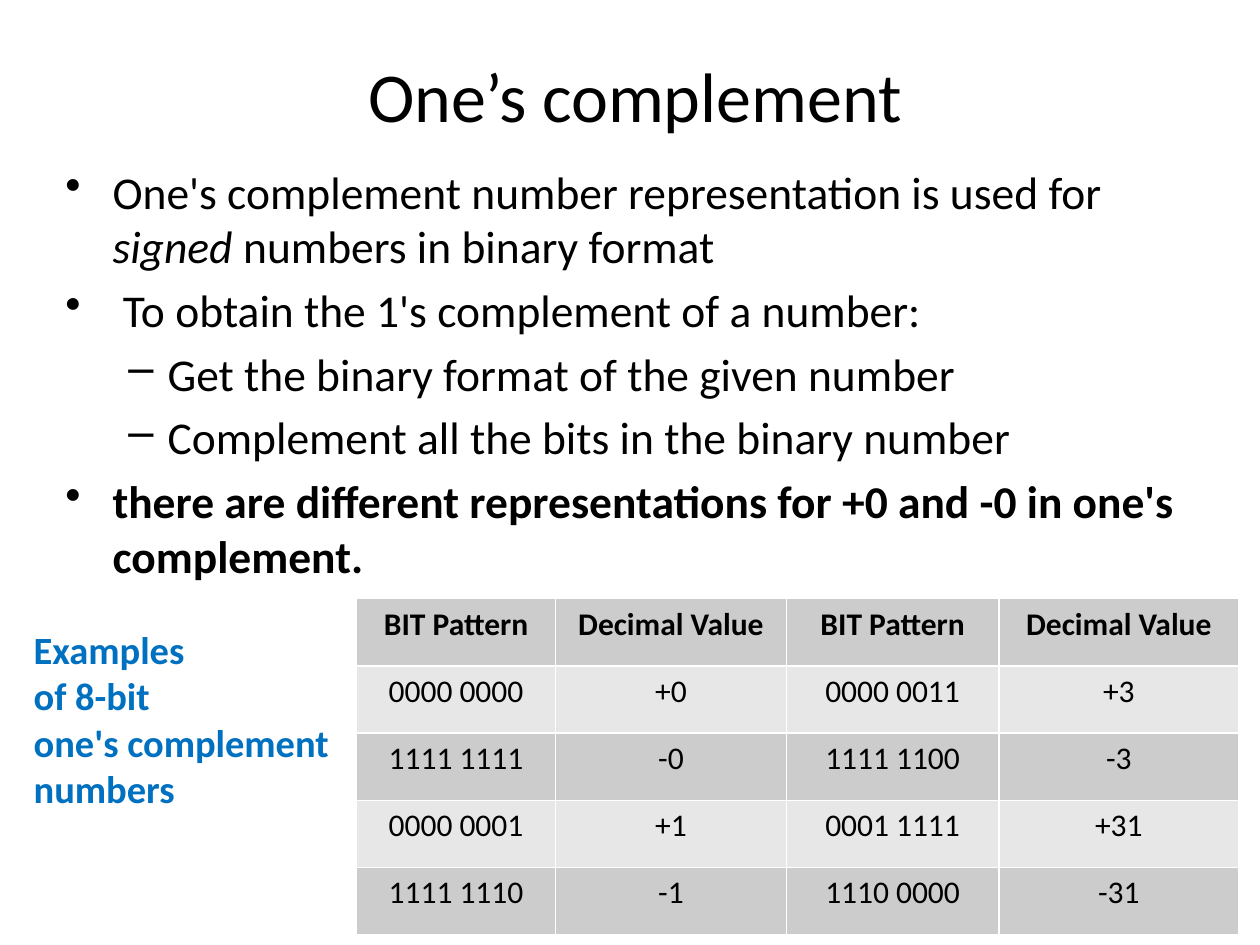
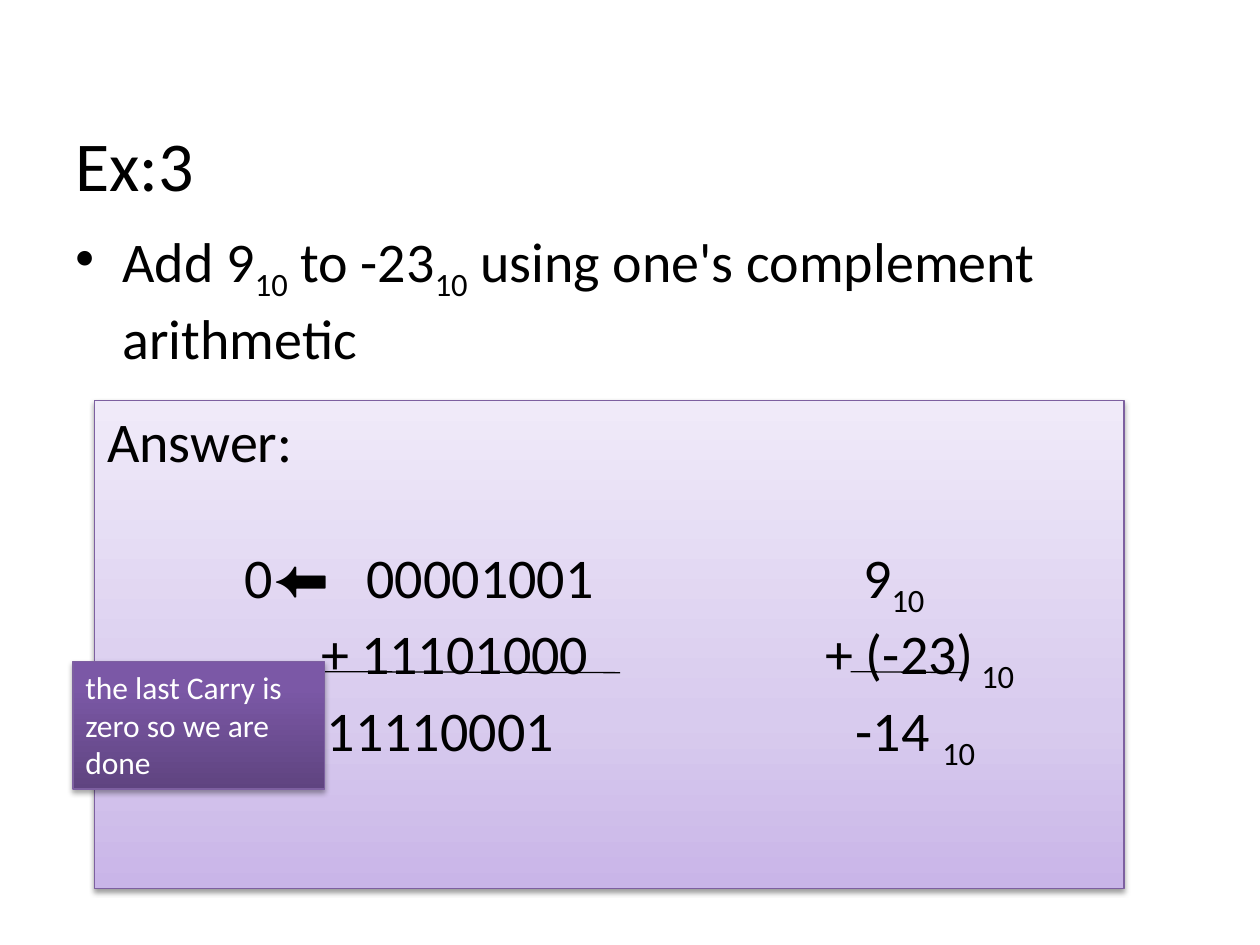
"""Build two slides on one's complement numbers."""
from copy import deepcopy
from dataclasses import dataclass, field
from typing import Any

from lxml.etree import SubElement as Sub
from pptx import Presentation
from pptx.dml.color import RGBColor as RGB
from pptx.enum.shapes import MSO_CONNECTOR as LINK, MSO_SHAPE as FORM
from pptx.enum.text import MSO_ANCHOR as ANCHOR, PP_ALIGN as ALIGN
from pptx.oxml.ns import qn
from pptx.util import Cm, Pt

FONT = "Calibri"
BLACK = RGB(0, 0, 0)
WHITE = RGB(255, 255, 255)
BLUE = RGB(0x00, 0x70, 0xC0)
EDGE = RGB(0x7D, 0x60, 0xA0)
BANDS = (RGB(0xCC, 0xCC, 0xCC), RGB(0xE7, 0xE7, 0xE7))
PALE = ((0, RGB(0xC9, 0xB5, 0xE8)), (0.35, RGB(0xD8, 0xCB, 0xEE)), (1, RGB(0xF0, 0xEA, 0xF9)))
DARK = ((0, RGB(0x5F, 0x44, 0x80)), (0.8, RGB(0x7B, 0x58, 0xA6)), (1, RGB(0x7C, 0x57, 0xA8)))
MARKS = (("•", 0.95, -0.95), ("–", 2.06, -0.79))

Box = tuple[float, float, float, float]


@dataclass
class Bit:
    """A run of text with its own format."""
    text: str
    form: dict[str, Any] = field(default_factory=dict)
    sub: bool = False


@dataclass
class Para:
    """A paragraph with bullet level, tab stops and space above."""
    bits: list[Bit]
    level: int | None = None
    tabs: tuple[float, ...] = ()
    above: float = 0


@dataclass
class Style:
    """The look shared by the paragraphs of one text."""
    size: float
    color: RGB = BLACK
    bold: bool = False
    align: ALIGN = ALIGN.LEFT


@dataclass
class Panel:
    """A shaded box with text."""
    box: Box
    stops: tuple[tuple[float, RGB], ...]
    shade: tuple[int, int]
    paras: list[Para]
    style: Style


TEN = Bit("10", sub=True)
TITLE = Style(40)
HEAD = Style(40, align=ALIGN.CENTER)

FACTS = [
    Para([Bit("One's complement number representation is used for "),
          Bit("signed ", {"italic": True}), Bit("numbers in binary format")], 0),
    Para([Bit(" To obtain the 1's complement of a number:")], 0),
    Para([Bit("Get the binary format of the given number")], 1),
    Para([Bit("Complement all the bits in the binary number")], 1),
    Para([Bit("there are different representations for +0 and -0 in one's complement.",
              {"bold": True})], 0),
]
LABEL = [Para([Bit(text)]) for text in ("Examples", "of 8-bit", "one's complement numbers")]
COLS = (4.01, 4.65, 4.29, 4.83)
ROWS = (
    ("BIT Pattern", "Decimal Value") * 2,
    ("0000 0000", "+0", "0000 0011", "+3"),
    ("1111 1111", "-0", "1111 1100", "-3"),
    ("0000 0001", "+1", "0001 1111", "+31"),
    ("1111 1110", "-1", "1110 0000", "-31"),
)

TASK = [Para([Bit("Add 9"), TEN, Bit(" to -23"), TEN,
              Bit(" using one's complement arithmetic")], 0)]
SUM = [
    Para([Bit("Answer:")]),
    Para([Bit("\t0⬅\t00001001\t9"), TEN], tabs=(2.77, 5.23, 15.24), above=39),
    Para([Bit("\t+\t11101000\t+ (-23)"), Bit(" 10", sub=True)], tabs=(4.33, 5.12, 14.48)),
    Para([Bit("\t11110001\t-14 "), TEN], tabs=(4.43, 15.09)),
]
ANSWER = Panel((1.91, 8.08, 20.75, 9.83), PALE, (20000, 38000), SUM, Style(32))
NOTE = Panel((1.47, 13.34, 5.08, 2.57), DARK, (23000, 35000),
             [Para([Bit("the last Carry is zero so we are done")])], Style(18, WHITE))
RULES = ((6.55, 12.5), (17.15, 19.48))


def apply(item: Any, form: dict[str, Any]) -> None:
    """Set each named value on an item."""
    for name, value in form.items():
        setattr(item, name, value)


def write(frame: Any, paras: list[Para], style: Style) -> None:
    """Fill a text frame with paragraphs."""
    for i, para in enumerate(paras):
        line = frame.add_paragraph() if i else frame.paragraphs[0]
        above = para.above if para.level is None else style.size * 0.2
        apply(line, {"alignment": style.align, "space_before": Pt(above)})
        props = line._p.get_or_add_pPr()
        if para.level is not None:
            mark, left, hang = MARKS[para.level]
            line.level = para.level
            props.set("marL", str(Cm(left)))
            props.set("indent", str(Cm(hang)))
            Sub(props, qn("a:buChar"), char=mark)
        if para.tabs:
            stops = Sub(props, qn("a:tabLst"))
            for tab in para.tabs:
                Sub(stops, qn("a:tab"), pos=str(Cm(tab)), algn="l")
        for bit in para.bits:
            run = line.add_run()
            run.text = bit.text
            base = {"name": FONT, "size": Pt(style.size), "bold": style.bold}
            apply(run.font, base | bit.form)
            run.font.color.rgb = style.color
            if bit.sub:
                run._r.get_or_add_rPr().set("baseline", "-25000")


def place(slide: Any, box: Box, paras: list[Para], style: Style,
          anchor: ANCHOR = ANCHOR.TOP) -> None:
    """Add a wrapped text box."""
    frame = slide.shapes.add_textbox(*map(Cm, box)).text_frame
    apply(frame, {"word_wrap": True, "vertical_anchor": anchor})
    write(frame, paras, style)


def title(slide: Any, box: Box, text: str, style: Style) -> None:
    """Add a slide title."""
    place(slide, box, [Para([Bit(text)])], style, ANCHOR.MIDDLE)


def panel(slide: Any, item: Panel) -> None:
    """Add a box with a gradient and a soft shadow."""
    shape = slide.shapes.add_shape(FORM.RECTANGLE, *map(Cm, item.box))
    shape.fill.gradient()
    shape.fill.gradient_angle = 90
    props = shape._element.spPr
    stops = props.find(".//" + qn("a:gsLst"))
    stops.append(deepcopy(stops[-1]))
    for stop, (place_at, color) in zip(shape.fill.gradient_stops, item.stops):
        stop.position = place_at
        stop.color.rgb = color
    shape.line.color.rgb = EDGE
    shape.line.width = Pt(0.75)
    shape.shadow.inherit = False
    far, alpha = item.shade
    glow = Sub(props.find(qn("a:effectLst")), qn("a:outerShdw"), blurRad="40000",
               dist=str(far), dir="5400000", rotWithShape="0")
    Sub(Sub(glow, qn("a:srgbClr"), val=str(BLACK)), qn("a:alpha"), val=str(alpha))
    apply(shape.text_frame, {"word_wrap": True, "vertical_anchor": ANCHOR.TOP})
    write(shape.text_frame, item.paras, item.style)


def rule(slide: Any, left: float, right: float) -> None:
    """Add a sum line."""
    line = slide.shapes.add_connector(LINK.STRAIGHT, *map(Cm, (left, 13.54, right, 13.56)))
    line.line.color.rgb = BLACK
    line.line.width = Pt(0.75)
    Sub(line._element.spPr, qn("a:effectLst"))


def frame_cell(cell: Any) -> None:
    """Give a cell white borders."""
    props = cell._tc.get_or_add_tcPr()
    for side in "LRTB":
        edge = Sub(props, qn(f"a:ln{side}"), w=str(Pt(1)))
        Sub(Sub(edge, qn("a:solidFill")), qn("a:srgbClr"), val=str(WHITE))


def grid(slide: Any, box: Box) -> None:
    """Add the table of bit patterns."""
    table = slide.shapes.add_table(len(ROWS), len(COLS), *map(Cm, box)).table
    for col, width in zip(table.columns, COLS):
        col.width = Cm(width)
    for r, row in enumerate(ROWS):
        for c, text in enumerate(row):
            cell = table.cell(r, c)
            frame_cell(cell)
            cell.fill.solid()
            cell.fill.fore_color.rgb = BANDS[r % 2]
            write(cell.text_frame, [Para([Bit(text)])],
                  Style(18, bold=r == 0, align=ALIGN.CENTER))


def main() -> None:
    """Build and save the deck."""
    deck = Presentation()
    apply(deck, {"slide_width": Cm(25.4), "slide_height": Cm(19.05)})
    first, second = (deck.slides.add_slide(deck.slide_layouts[6]) for _ in range(2))

    title(first, (1.27, 0.64, 23.06, 2.54), "One’s complement", HEAD)
    place(first, (1.07, 3.18, 23.7, 6.99), FACTS, Style(26))
    grid(first, (7.19, 12.07, 17.78, 6.77))
    place(first, (0.43, 12.5, 7.19, 4.01), LABEL, Style(22, BLUE, True))

    title(second, (1.27, 1.7, 22.86, 3.18), "Ex:3", TITLE)
    place(second, (1.27, 4.45, 22.86, 3.81), TASK, Style(32))
    panel(second, ANSWER)
    for left, right in RULES:
        rule(second, left, right)
    panel(second, NOTE)
    deck.save("out.pptx")


if __name__ == "__main__":
    main()
